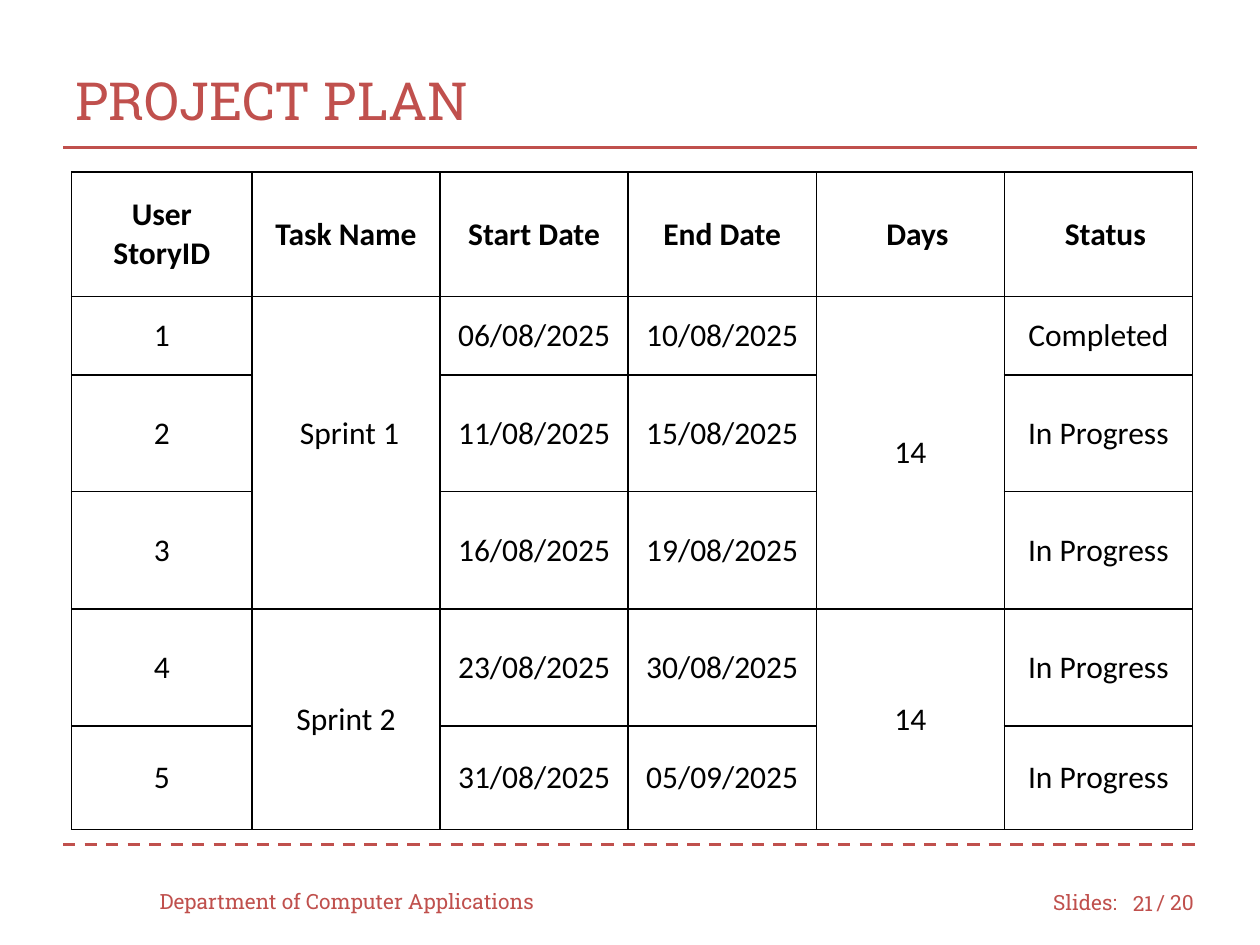
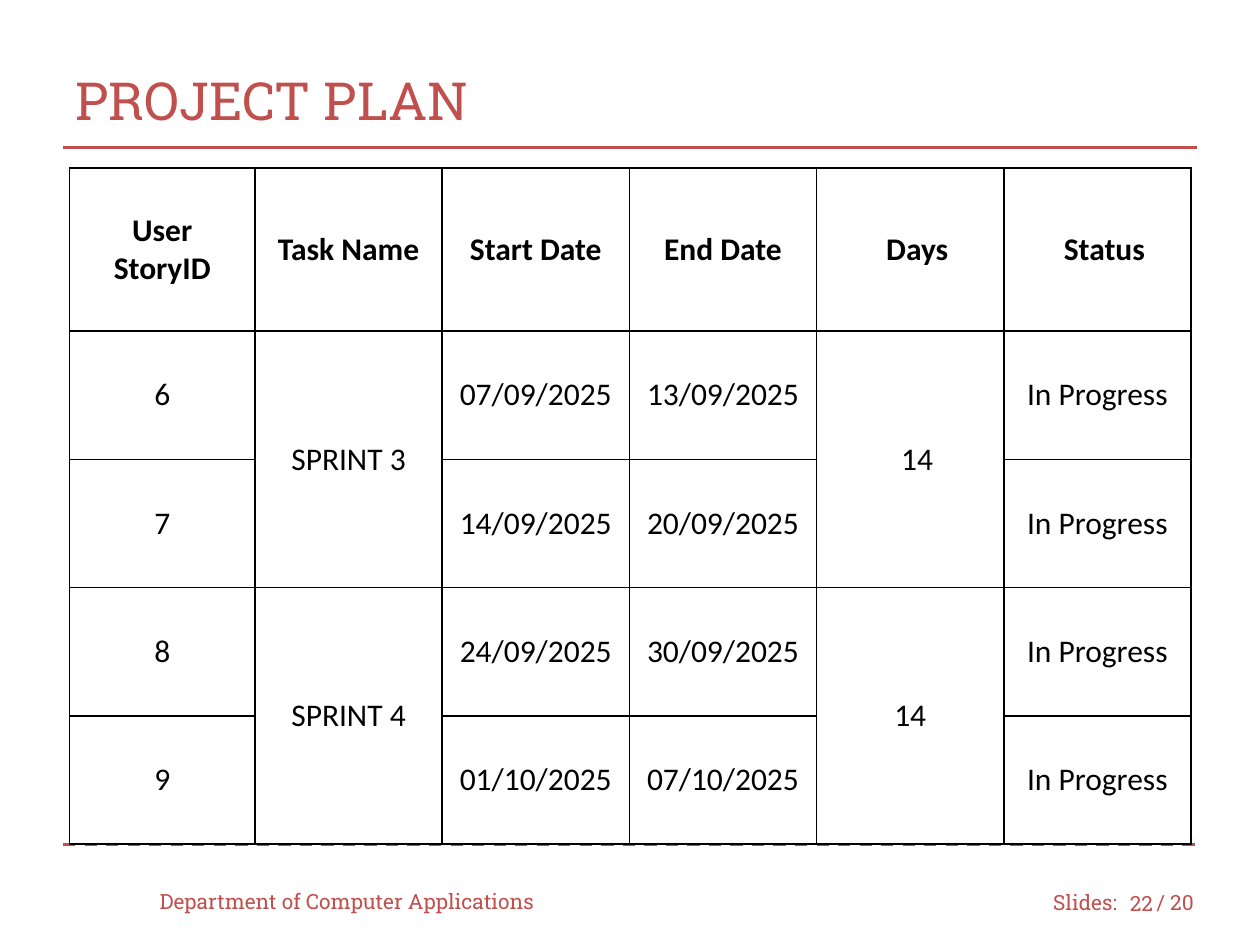
from lxml import etree
from pptx import Presentation
from pptx import util as u
from pptx.dml.color import RGBColor
from pptx.enum import dml, shapes, text as t
from pptx.oxml import ns

Pt = u.Pt
COLORS = {"accent": "C0504D", "ink": "000000", "paper": "FFFFFF"}
FONTS = {"brand": "Roboto Slab", "table": "Calibri"}
HEADERS = ["User\nStoryID", "Task Name", "Start Date", "End Date", "Days", "Status"]
HEADER_INDENTS = {(0, 4): 8, (0, 5): 8}
CELL_MARGIN = 7.2


def color(name):
    return RGBColor.from_string(COLORS[name])


def write_text(frame, content, size=12, font="brand", ink="accent", bold=False,
               align=t.PP_ALIGN.LEFT):
    """Fill a text frame, one paragraph for each line of content."""
    frame.word_wrap = True
    frame.text = content
    for paragraph in frame.paragraphs:
        paragraph.alignment = align
        paragraph.font.size = Pt(size)
        paragraph.font.name = FONTS[font]
        paragraph.font.bold = bold
        paragraph.font.color.rgb = color(ink)


class Deck:
    def __init__(self):
        self.presentation = Presentation()
        self.presentation.slide_width = Pt(720)
        self.presentation.slide_height = Pt(540)
        self.slide = None

    def add_slide(self, title, number):
        """Start a slide with the shared title, rules and footer."""
        self.slide = self.presentation.slides.add_slide(self.presentation.slide_layouts[5])
        self.footer_text("Slides:", 594.7, 501.1, 54)
        self.footer_text("/ 20", 653.8, 501.1, 41.8)
        self.rule(482.4, dashed=True)
        self.rule(84.2)
        self.title(title)
        self.footer_text("Department of Computer Applications", 84.2, 500.4, 240)
        self.footer_text(str(number), 635.8, 501.8, 30.2, align=t.PP_ALIGN.RIGHT)

    def title(self, content):
        shape = self.slide.shapes.title
        shape.left, shape.top, shape.width, shape.height = Pt(36), Pt(23.8), Pt(648), Pt(66.2)
        shape.text_frame.vertical_anchor = t.MSO_ANCHOR.MIDDLE
        write_text(shape.text_frame, content, size=30)

    def footer_text(self, content, left, top, width, **style):
        shape = self.slide.shapes.add_textbox(Pt(left), Pt(top), Pt(width), Pt(28.8))
        shape.text_frame.vertical_anchor = t.MSO_ANCHOR.MIDDLE
        write_text(shape.text_frame, content, **style)

    def rule(self, top, dashed=False):
        line = self.slide.shapes.add_connector(
            shapes.MSO_CONNECTOR.STRAIGHT, Pt(36), Pt(top), Pt(684), Pt(top))
        line.line.color.rgb = color("accent")
        line.line.width = Pt(1.75)
        if dashed:
            line.line.dash_style = dml.MSO_LINE.DASH
        etree.SubElement(line._element.spPr, ns.qn("a:effectLst"))

    def borders(self, cell):
        properties = cell._tc.get_or_add_tcPr()
        for side in ("lnL", "lnR", "lnT", "lnB"):
            border = etree.SubElement(properties, ns.qn(f"a:{side}"), w=str(Pt(1)))
            fill = etree.SubElement(border, ns.qn("a:solidFill"))
            etree.SubElement(fill, ns.qn("a:srgbClr"), val=COLORS["ink"])

    def plan_table(self, left, top, widths, heights, sprints, indents, lifts):
        """Draw the plan; indents and lifts add left and bottom margin by cell."""
        rows = [HEADERS]
        spans = []
        for name, days, stories in sprints:
            spans.append((len(rows), len(rows) + len(stories) - 1))
            for index, (story, start, end, status) in enumerate(stories):
                first = index == 0
                rows.append([story, name if first else "", start, end,
                             days if first else "", status])

        table = self.slide.shapes.add_table(
            len(rows), len(HEADERS), Pt(left), Pt(top),
            Pt(sum(widths)), Pt(sum(heights))).table
        table.first_row = table.horz_banding = False
        for column, width in zip(table.columns, widths):
            column.width = Pt(width)
        for row, height in zip(table.rows, heights):
            row.height = Pt(height)

        for r, values in enumerate(rows):
            for c, value in enumerate(values):
                cell = table.cell(r, c)
                self.borders(cell)
                cell.fill.solid()
                cell.fill.fore_color.rgb = color("paper")
                cell.vertical_anchor = t.MSO_ANCHOR.MIDDLE
                cell.margin_right = cell.margin_top = Pt(CELL_MARGIN)
                cell.margin_left = Pt(CELL_MARGIN + indents.get((r, c), 0))
                cell.margin_bottom = Pt(CELL_MARGIN + lifts.get((r, c), 0))
                write_text(cell.text_frame, value, size=18, font="table", ink="ink",
                           bold=r == 0, align=t.PP_ALIGN.CENTER)

        # Sprint name and days run over all stories of the sprint
        for first, last in spans:
            for c in (1, 4):
                table.cell(first, c).merge(table.cell(last, c))


def main():
    deck = Deck()

    # Sprints 1 and 2
    deck.add_slide("PROJECT PLAN", 21)
    deck.plan_table(
        41, 98.4, [103] + [107.5] * 5, [71, 44.8, 66.8, 67.2, 66.8, 59],
        [("Sprint 1", "14", [("1", "06/08/2025", "10/08/2025", "Completed"),
                             ("2", "11/08/2025", "15/08/2025", "In Progress"),
                             ("3", "16/08/2025", "19/08/2025", "In Progress")]),
         ("Sprint 2", "14", [("4", "23/08/2025", "30/08/2025", "In Progress"),
                             ("5", "31/08/2025", "05/09/2025", "In Progress")])],
        indents={**HEADER_INDENTS, (1, 1): 4}, lifts={(1, 1): 22})

    # Sprints 3 and 4
    deck.add_slide("PROJECT PLAN", 22)
    deck.plan_table(
        39.7, 96, [106] + [107] * 5, [93.2] + [73.3] * 4,
        [("SPRINT 3", "14", [("6", "07/09/2025", "13/09/2025", "In Progress"),
                             ("7", "14/09/2025", "20/09/2025", "In Progress")]),
         ("SPRINT 4", "14", [("8", "24/09/2025", "30/09/2025", "In Progress"),
                             ("9", "01/10/2025", "07/10/2025", "In Progress")])],
        indents={**HEADER_INDENTS, (1, 4): 8}, lifts={})

    deck.presentation.save("out.pptx")


if __name__ == "__main__":
    main()
